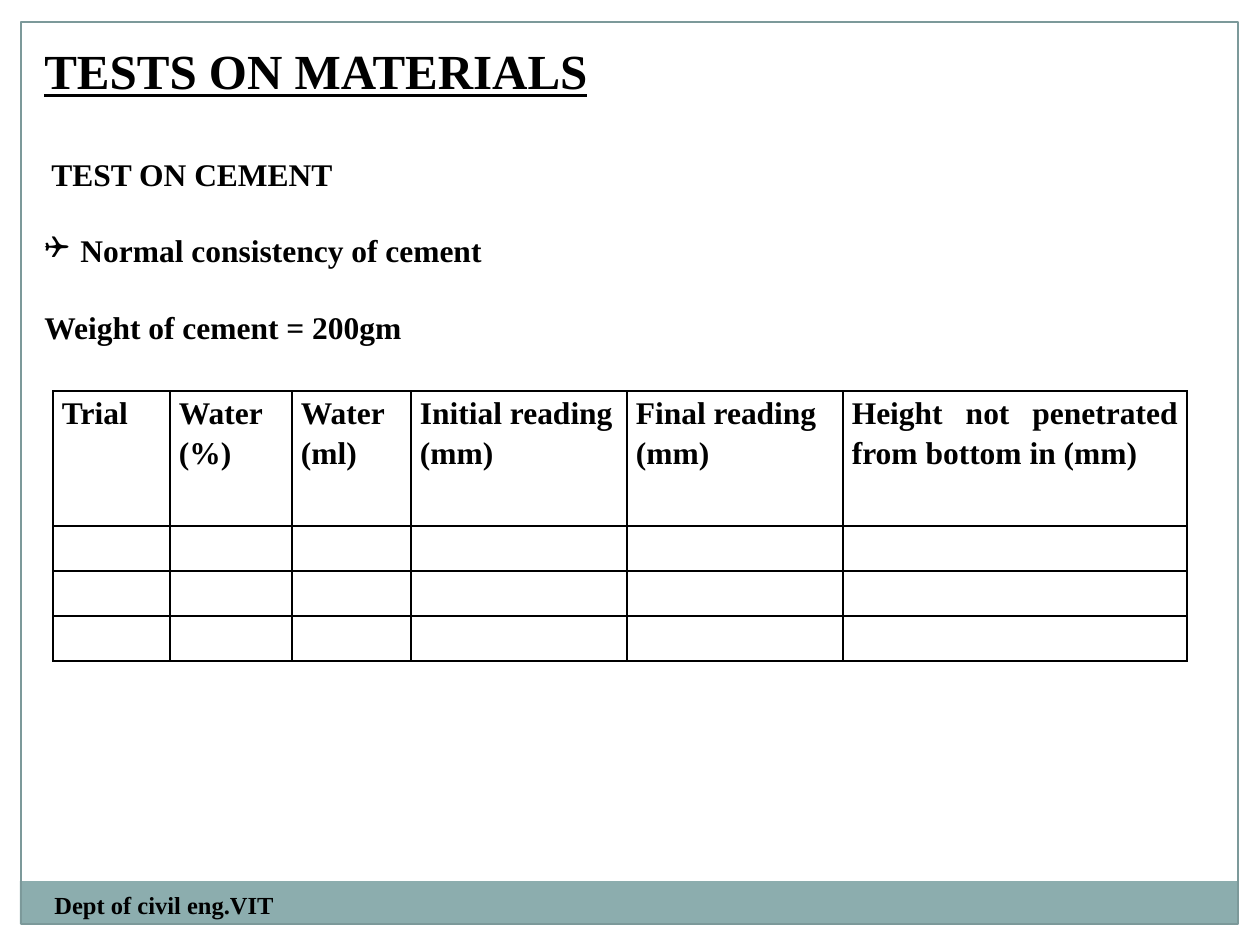
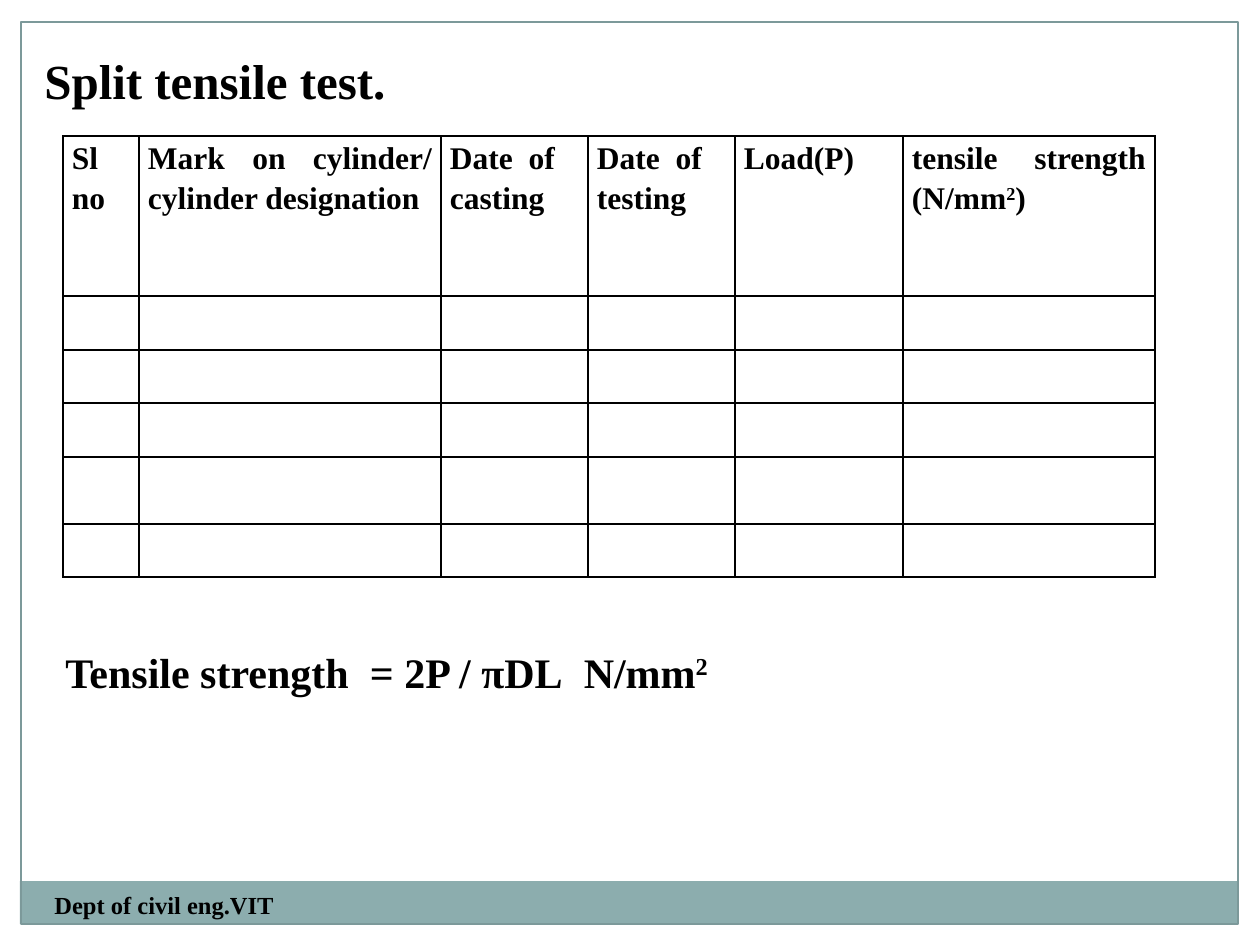
from dataclasses import dataclass

from lxml import etree
from pptx import Presentation
from pptx.dml.color import RGBColor
from pptx.enum.shapes import MSO_SHAPE
from pptx.enum.text import MSO_ANCHOR, PP_ALIGN
from pptx.oxml.ns import qn
from pptx.util import Emu, Pt

RECTANGLE = MSO_SHAPE.RECTANGLE
TOP, MIDDLE = MSO_ANCHOR.TOP, MSO_ANCHOR.MIDDLE
LEFT, JUSTIFY = PP_ALIGN.LEFT, PP_ALIGN.JUSTIFY
BLANK_LAYOUT = 6
EMU_PER_PX = 914400 / 126


@dataclass(frozen=True)
class Theme:
    font: str = "Times New Roman"
    bullet_font: str = "Wingdings"
    ink: str = "000000"
    edge: str = "FFFFFF"
    band: str = "8CADAE"
    frame: str = "7C999A"
    title_size: int = 28
    formula_size: int = 24
    body_size: int = 18
    footer_size: int = 14
    table_line_spacing: float = 1.15


THEME = Theme()


@dataclass(frozen=True)
class Line:
    """One paragraph; bars part its runs, ^ marks superscript, a lone space is wide."""
    text: str
    size: int = THEME.body_size
    underline: bool = False
    align: int = JUSTIFY
    space_before: float = 0
    indent: int = 0
    bullet: str = ""
    spacing: float = 1.0


def px(length):
    return Emu(round(length * EMU_PER_PX))


def color(value):
    return RGBColor.from_string(value)


# Text
def add_runs(paragraph, line):
    for part in line.text.split("|"):
        run = paragraph.add_run()
        run.text = part.lstrip("^")
        font = run.font
        font.name, font.size, font.bold = THEME.font, Pt(line.size), True
        font.color.rgb = color(THEME.ink)
        if line.underline:
            font.underline = True
        properties = run._r.get_or_add_rPr()
        if part.startswith("^"):
            properties.set("baseline", "30000")
        elif part == " ":
            properties.set("spc", str(line.size * 25))


def fill_text(text_frame, lines):
    for index, line in enumerate(lines):
        paragraph = text_frame.add_paragraph() if index else text_frame.paragraphs[0]
        properties = paragraph._p.get_or_add_pPr()
        if line.indent:
            properties.set("marL", str(px(line.indent)))
        if line.bullet:
            properties.set("indent", str(-px(line.indent)))
            etree.SubElement(properties, qn("a:buFont")).set("typeface", THEME.bullet_font)
            etree.SubElement(properties, qn("a:buChar")).set("char", line.bullet)
        paragraph.alignment = line.align
        paragraph.line_spacing = line.spacing
        if line.space_before:
            paragraph.space_before = Pt(line.space_before)
        add_runs(paragraph, line)


def add_text(slide, left, top, width, height, lines, anchor=MIDDLE, inset_top=6):
    box = slide.shapes.add_textbox(px(left), px(top), px(width), px(height))
    box.text_frame.word_wrap = True
    box.text_frame.vertical_anchor = anchor
    box.text_frame.margin_top = px(inset_top)
    fill_text(box.text_frame, lines)


# Frame and footer shared by the slides
def add_rectangle(slide, left, top, width, height, fill=None, line=None):
    shape = slide.shapes.add_shape(RECTANGLE, px(left), px(top), px(width), px(height))
    shape.shadow.inherit = False
    if fill:
        shape.fill.solid()
        shape.fill.fore_color.rgb = color(fill)
    else:
        shape.fill.background()
    if line:
        shape.line.color.rgb = color(line)
        shape.line.width = Pt(0.75)
    else:
        shape.line.fill.background()


def add_framed_slide(presentation):
    slide = presentation.slides.add_slide(presentation.slide_layouts[BLANK_LAYOUT])
    for edge in ((0, 0, 1260, 21), (1239, 0, 21, 945), (0, 0, 21, 945)):
        add_rectangle(slide, *edge, fill=THEME.edge)
    add_rectangle(slide, 20, 881, 1217, 43, fill=THEME.band)
    add_rectangle(slide, 21, 22, 1217, 902, line=THEME.frame)
    return slide


def add_footer(slide):
    footer = Line("Dept of civil eng.VIT", THEME.footer_size, align=LEFT)
    add_text(slide, 42, 884, 494, 50, [footer], TOP)


# Tables
def style_cell(cell):
    cell.margin_left = cell.margin_right = px(9)
    cell.margin_top = cell.margin_bottom = 0
    properties = cell._tc.get_or_add_tcPr()
    for side in ("a:lnL", "a:lnR", "a:lnT", "a:lnB"):
        border = etree.SubElement(properties, qn(side), w=str(Pt(1)))
        fill = etree.SubElement(border, qn("a:solidFill"))
        etree.SubElement(fill, qn("a:srgbClr"), val=THEME.ink)
    cell.fill.background()


def add_record_table(slide, left, top, widths, heights, headers, left_aligned=()):
    frame = slide.shapes.add_table(len(heights), len(widths), px(left), px(top),
                                   px(sum(widths)), px(sum(heights)))
    table = frame.table
    table.first_row = table.horz_banding = False
    for column, width in zip(table.columns, widths):
        column.width = px(width)
    for row, height in zip(table.rows, heights):
        row.height = px(height)
    for cell in table.iter_cells():
        style_cell(cell)
    for index, header in enumerate(headers):
        align = LEFT if index in left_aligned else JUSTIFY
        lines = [Line(text, align=align, spacing=THEME.table_line_spacing)
                 for text in header.split("\n")]
        fill_text(table.cell(0, index).text_frame, lines)


# Slides
def add_cement_slide(presentation):
    slide = add_framed_slide(presentation)
    add_text(slide, 32, 0, 1155, 352, [
        Line("TESTS ON MATERIALS", THEME.title_size, underline=True),
        Line("TEST ON CEMENT", space_before=31.5, indent=7),
        Line("Normal consistency of cement", space_before=22, indent=36, bullet="❑"),
        Line("Weight of cement = 200gm", space_before=22),
    ], TOP, inset_top=41)
    headers = ["Trial", "Water\n(%)", "Water\n(ml)", "Initial reading\n(mm)",
               "Final reading\n(mm)", "Height not penetrated from bottom in (mm)"]
    add_record_table(slide, 53, 391, [117, 122, 119, 216, 216, 344],
                     [135] + [45] * 3, headers)
    add_footer(slide)


def add_tensile_slide(presentation):
    slide = add_framed_slide(presentation)
    add_text(slide, 32, 44, 1018, 72, [Line("Split tensile test.", THEME.title_size)])
    headers = ["Sl no", "Mark on cylinder/ cylinder designation", "Date| |of casting",
               "Date| |of testing", "Load(P)", "tensile strength (N/mm|^2|)"]
    add_record_table(slide, 63, 136, [76, 302, 147, 147, 168, 252],
                     [160, 54, 53, 54, 67, 53], headers, left_aligned=(2, 3))
    formula = Line("Tensile strength| |= 2P / πDL| |N/mm|^2", THEME.formula_size)
    add_text(slide, 53, 640, 903, 63, [formula])
    add_footer(slide)


def main():
    presentation = Presentation()
    presentation.slide_width, presentation.slide_height = px(1260), px(945)
    add_cement_slide(presentation)
    add_tensile_slide(presentation)
    presentation.save("out.pptx")


if __name__ == "__main__":
    main()
